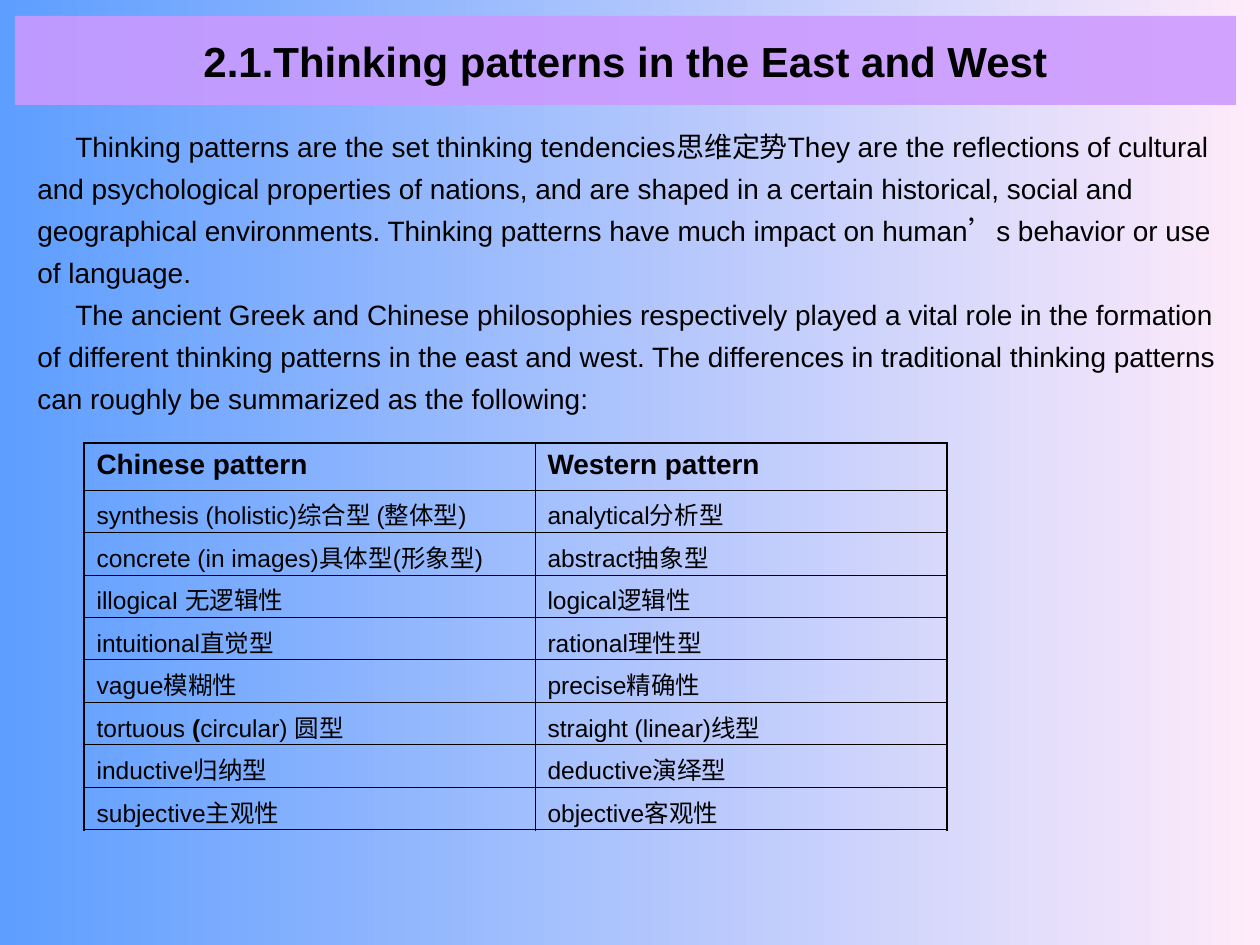
import pptx
import pptx.dml.color
import pptx.enum.shapes
import pptx.enum.text
import pptx.oxml
import pptx.oxml.ns
import pptx.util
from lxml import etree

RGBColor = pptx.dml.color.RGBColor
BLUE = RGBColor(0x5E, 0x9E, 0xFF)
PINK = RGBColor(0xFF, 0xEB, 0xFA)
VIOLET = RGBColor(0xCC, 0x99, 0xFF)
BLACK = RGBColor(0, 0, 0)
FONT = "Arial"
SCALE = 914400 / 126  # EMU per px

TITLE = "2.1.Thinking patterns in the East and West"
INTRO = [
    "Thinking patterns are the set thinking tendencies思维定势They are the reflections of cultural "
    "and psychological properties of nations, and are shaped in a certain historical, social and "
    "geographical environments. Thinking patterns have much impact on human’s behavior or use"
    "\vof language.",
    "The ancient Greek and Chinese philosophies respectively played a vital role in the formation "
    "of different thinking patterns in the east and west. The differences in traditional thinking "
    "patterns can roughly be summarized as the following:",
]
# A tuple holds runs that alternate between regular and bold
PATTERNS = [
    ("Chinese pattern", "Western pattern"),
    ("synthesis (holistic)综合型 (整体型)", "analytical分析型"),
    ("concrete (in images)具体型(形象型)", "abstract抽象型"),
    ("illogicaI 无逻辑性", "logical逻辑性"),
    ("intuitional直觉型", "rational理性型"),
    ("vague模糊性", "precise精确性"),
    (("tortuous", " (", "circular) 圆型"), "straight (linear)线型"),
    ("inductive归纳型", "deductive演绎型"),
    ("subjective主观性", "objective客观性"),
]
COLUMN_WIDTHS = (451, 412)
HEADER_HEIGHT, TABLE_HEIGHT = 47, 387
OUTER_LINE, INNER_LINE = 1.08, 0.45


def px(length):
    return pptx.util.Emu(round(length * SCALE))


def style_run(run, size, bold=False):
    run.font.name = FONT
    run.font.size = pptx.util.Pt(size)
    run.font.bold = bold
    run.font.color.rgb = BLACK


def set_borders(cell, widths):
    """Draw the left, right, top and bottom lines of a cell."""
    properties = cell._tc.get_or_add_tcPr()
    for position, (side, width) in enumerate(zip("LRTB", widths)):
        line = etree.Element(pptx.oxml.ns.qn(f"a:ln{side}"), w=str(pptx.util.Pt(width)))
        fill = etree.SubElement(line, pptx.oxml.ns.qn("a:solidFill"))
        etree.SubElement(fill, pptx.oxml.ns.qn("a:srgbClr"), val=str(BLACK))
        properties.insert(position, line)


deck = pptx.Presentation()
deck.slide_width, deck.slide_height = px(1260), px(945)
page = deck.slides.add_slide(deck.slide_layouts[6])

# Background gradient
backdrop = page.background.fill
backdrop.gradient()
backdrop.gradient_angle = 0
for stop, color, position in zip(backdrop.gradient_stops, (BLUE, PINK), (0, 1)):
    stop.color.rgb = color
    stop.position = position

# Title banner
banner = page.shapes.add_shape(
    pptx.enum.shapes.MSO_SHAPE.RECTANGLE, px(15), px(16), px(1221), px(89))
banner.shadow.inherit = False
banner.line.fill.background()
banner.fill.solid()
banner.fill.fore_color.rgb = VIOLET
banner_color = banner.fill._xPr.find(".//" + pptx.oxml.ns.qn("a:srgbClr"))
etree.SubElement(banner_color, pptx.oxml.ns.qn("a:alpha"), val="87000")
frame = banner.text_frame
frame.word_wrap = False
frame.vertical_anchor = pptx.enum.text.MSO_ANCHOR.MIDDLE
frame.text = TITLE
frame.paragraphs[0].alignment = pptx.enum.text.PP_ALIGN.CENTER
style_run(frame.paragraphs[0].runs[0], 24, bold=True)

# Introduction
box = page.shapes.add_textbox(px(25), px(115), px(1211), px(295))
frame = box.text_frame
frame.word_wrap = True
frame.margin_right = px(8)
frame.text = "\n".join(INTRO)
for para in frame.paragraphs:
    para.line_spacing = 1.25
    para._p.get_or_add_pPr().set("indent", str(px(38)))
    for span in para.runs:
        style_run(span, 16)

# Comparison table
row_count, column_count = len(PATTERNS), len(COLUMN_WIDTHS)
table = page.shapes.add_table(
    row_count, column_count, px(84), px(443), px(sum(COLUMN_WIDTHS)), px(TABLE_HEIGHT)).table
table.first_row = table.horz_banding = False
for column, width in zip(table.columns, COLUMN_WIDTHS):
    column.width = px(width)
body_height = (TABLE_HEIGHT - HEADER_HEIGHT) / (row_count - 1)

for row_index, entries in enumerate(PATTERNS):
    header = row_index == 0
    size = 16 if header else 14
    table.rows[row_index].height = px(HEADER_HEIGHT if header else body_height)
    for column_index, entry in enumerate(entries):
        cell = table.cell(row_index, column_index)
        cell.fill.background()
        para = cell.text_frame.paragraphs[0]
        para.space_before = pptx.util.Pt(size / 4)
        pieces = (entry,) if isinstance(entry, str) else entry
        for piece_index, piece in enumerate(pieces):
            span = para.add_run()
            span.text = piece
            style_run(span, size, bold=header or piece_index % 2 == 1)
        on_edge = (column_index == 0, column_index == column_count - 1,
                   header, row_index == row_count - 1)
        set_borders(cell, [OUTER_LINE if edge else INNER_LINE for edge in on_edge])

deck.save("out.pptx")
